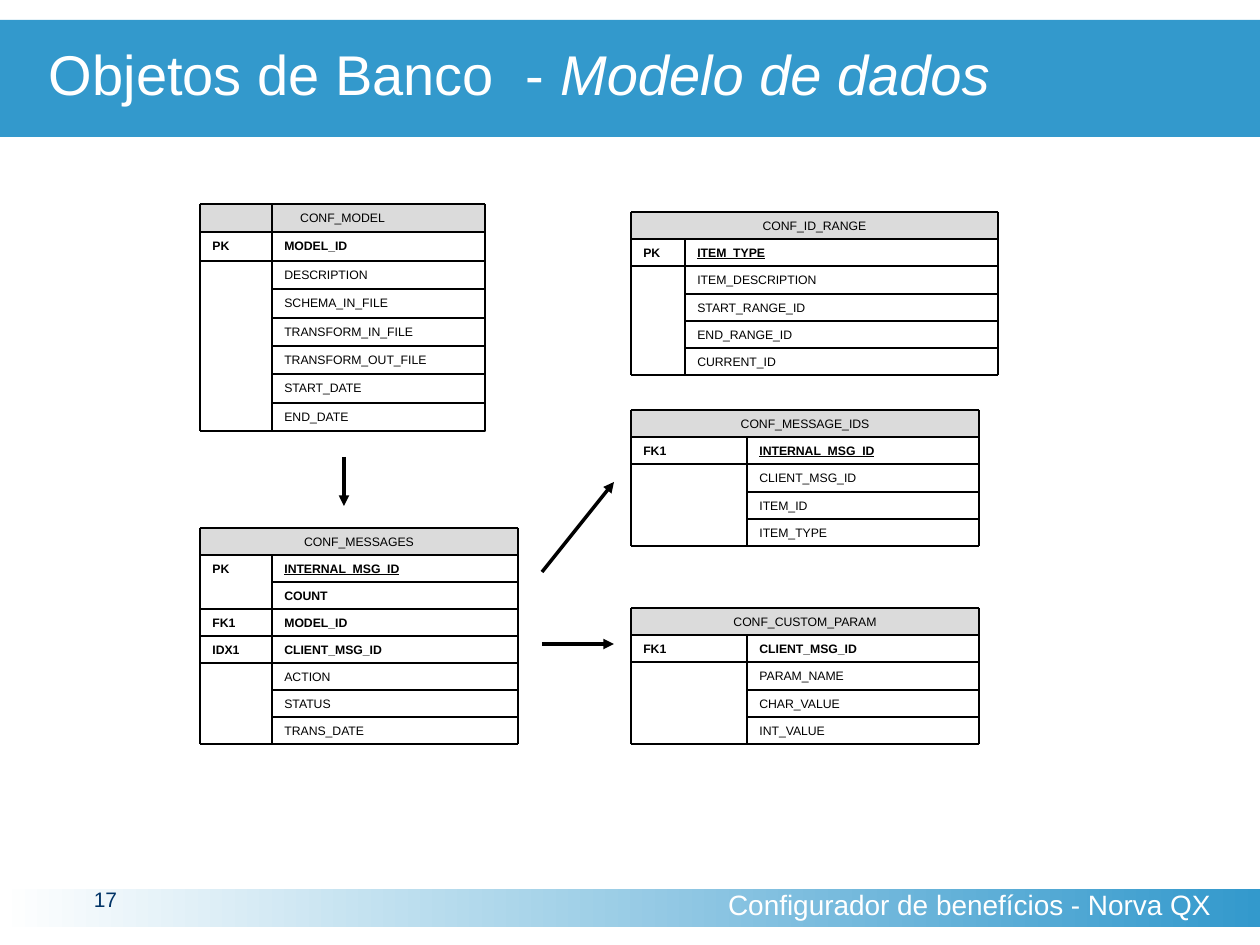
from dataclasses import dataclass

from lxml.etree import SubElement
from pptx import Presentation
from pptx.dml.color import RGBColor
from pptx.enum.shapes import MSO_CONNECTOR as Connector, MSO_SHAPE as Shape
from pptx.enum.text import MSO_ANCHOR as Anchor, PP_ALIGN as Align
from pptx.oxml.ns import qn
from pptx.util import Emu, Pt

PX_PER_INCH = 126
FONT = "Arial"
BLUE = RGBColor(0x33, 0x99, 0xCC)
NAVY = RGBColor(0x00, 0x33, 0x66)
GREY = RGBColor(0xDB, 0xDB, 0xDB)
BLACK = RGBColor(0, 0, 0)
WHITE = RGBColor(0xFF, 0xFF, 0xFF)


@dataclass(frozen=True)
class Field:
    name: str
    key: str = ""
    bold: bool = False
    underline: bool = False


@dataclass(frozen=True)
class Entity:
    name: str
    left: int
    top: int
    width: int
    height: int
    key_width: int
    fields: tuple[Field, ...]
    boxed: bool = False  # plain fields are outlined boxes, divider crosses the header


@dataclass(frozen=True)
class Arrow:
    x1: int
    y1: int
    x2: int
    y2: int


def key_field(key: str, name: str, underline: bool = False) -> Field:
    return Field(name, key, True, underline)


def plain_fields(*names: str) -> tuple[Field, ...]:
    return tuple(Field(name) for name in names)


ENTITIES = (
    Entity("CONF_MODEL", 200, 204, 285, 227, 72, (
        key_field("PK", "MODEL_ID"),
        *plain_fields("DESCRIPTION", "SCHEMA_IN_FILE", "TRANSFORM_IN_FILE",
                      "TRANSFORM_OUT_FILE", "START_DATE", "END_DATE")), boxed=True),
    Entity("CONF_MESSAGES", 200, 528, 318, 216, 72, (
        key_field("PK", "INTERNAL_MSG_ID", underline=True),
        Field("COUNT", bold=True),
        key_field("FK1", "MODEL_ID"),
        key_field("IDX1", "CLIENT_MSG_ID"),
        *plain_fields("ACTION", "STATUS", "TRANS_DATE"))),
    Entity("CONF_ID_RANGE", 631, 212, 367, 163, 54, (
        key_field("PK", "ITEM_TYPE", underline=True),
        *plain_fields("ITEM_DESCRIPTION", "START_RANGE_ID", "END_RANGE_ID", "CURRENT_ID"))),
    Entity("CONF_MESSAGE_IDS", 631, 410, 348, 136, 116, (
        key_field("FK1", "INTERNAL_MSG_ID", underline=True),
        *plain_fields("CLIENT_MSG_ID", "ITEM_ID", "ITEM_TYPE"))),
    Entity("CONF_CUSTOM_PARAM", 631, 608, 348, 136, 116, (
        key_field("FK1", "CLIENT_MSG_ID"),
        *plain_fields("PARAM_NAME", "CHAR_VALUE", "INT_VALUE"))),
)
ARROWS = (Arrow(344, 457, 344, 506), Arrow(542, 572, 614, 482), Arrow(542, 644, 614, 644))


def px(n: int) -> Emu:
    return Emu(round(n * 914400 / PX_PER_INCH))


def add_rect(shapes, x: int, y: int, w: int, h: int, fill=None, line=None):
    sp = shapes.add_shape(Shape.RECTANGLE, px(x), px(y), px(w), px(h))
    sp.shadow.inherit = False
    if fill is None:
        sp.fill.background()
    else:
        sp.fill.solid()
        sp.fill.fore_color.rgb = fill
    if line is None:
        sp.line.fill.background()
    else:
        sp.line.color.rgb = line
        sp.line.width = Pt(0.75)
    return sp


def add_box(shapes, x: int, y: int, w: int, h: int):
    sp = shapes.add_textbox(px(x), px(y), px(w), px(h))
    sp.text_frame.word_wrap = True
    return sp


def set_text(sp, text: str, size: int, color: RGBColor, align=Align.LEFT, anchor=Anchor.TOP):
    tf = sp.text_frame
    tf.text = text
    tf.vertical_anchor = anchor
    p = tf.paragraphs[0]
    p.alignment = align
    style_run(p.runs[0], size, color)
    return p


def style_run(r, size: int, color: RGBColor) -> None:
    r.font.name = FONT
    r.font.size = Pt(size)
    r.font.color.rgb = color


def set_margins(sp, left: int = 0, right: int = 0) -> None:
    tf = sp.text_frame
    tf.margin_left, tf.margin_right = px(left), px(right)
    tf.margin_top = tf.margin_bottom = 0


def add_line(shapes, x1: int, y1: int, x2: int, y2: int, width: int = 1):
    line = shapes.add_connector(Connector.STRAIGHT, px(x1), px(y1), px(x2), px(y2))
    line.line.color.rgb = BLACK
    line.line.width = Pt(width)
    SubElement(line._element.spPr, qn("a:effectLst"))
    return line


def draw_arrow(shapes, arrow: Arrow) -> None:
    line = add_line(shapes, arrow.x1, arrow.y1, arrow.x2, arrow.y2, 2)
    SubElement(line.line._get_or_add_ln(), qn("a:tailEnd"), type="triangle")


def draw_entity(shapes, e: Entity) -> None:
    rows = len(e.fields) + 1
    ys = [e.top + round(e.height * i / rows) for i in range(rows + 1)]
    right, divider = e.left + e.width, e.left + e.key_width

    # Header
    header = add_rect(shapes, e.left, e.top, e.width, ys[1] - e.top, GREY)
    set_text(header, e.name, 7, BLACK, Align.CENTER)

    # Keys, fields and the rules between rows
    for i, field in enumerate(e.fields):
        y, bottom = ys[i + 1], ys[i + 2]
        cell = (divider, y, right - divider, bottom - y)
        outlined = e.boxed and not field.bold
        sp = add_rect(shapes, *cell, line=BLACK) if outlined else add_box(shapes, *cell)
        r = set_text(sp, field.name, 7, BLACK).runs[0]
        r.font.bold = field.bold
        r.font.underline = field.underline
        if field.key:
            sp = add_box(shapes, e.left, y, e.key_width, bottom - y)
            set_text(sp, field.key, 7, BLACK).runs[0].font.bold = True
        if i + 1 < len(e.fields) and not outlined:
            following = e.fields[i + 1]
            same_key = following.bold and not following.key
            start = e.left if field.bold and not same_key else divider
            add_line(shapes, start, bottom, right, bottom)

    # Frame, header rule and divider
    for y in (e.top, ys[1], ys[-1]):
        add_line(shapes, e.left, y, right, y)
    for x in (e.left, right):
        add_line(shapes, x, e.top, x, ys[-1])
    add_line(shapes, divider, e.top if e.boxed else ys[1], divider, ys[-1])


def draw_footer(shapes) -> None:
    band = add_rect(shapes, 0, 889, 1260, 38)
    band.fill.gradient()
    band.fill.gradient_angle = 0
    for stop, color, position in zip(band.fill.gradient_stops, (WHITE, BLUE), (0, 1)):
        stop.color.rgb = color
        stop.position = position

    sp = add_box(shapes, 669, 889, 591, 38)
    set_margins(sp, right=49)
    sp.text_frame.word_wrap = False
    p = set_text(sp, "Configurador de benefícios - Norva QX", 16, WHITE, Align.RIGHT, Anchor.MIDDLE)
    p.line_spacing = 0.8

    sp = add_box(shapes, 39, 889, 133, 39)
    set_margins(sp)
    set_text(sp, "17", 12, NAVY, Align.CENTER).line_spacing = Pt(13)


def draw_title(shapes) -> None:
    sp = add_rect(shapes, 0, 20, 1260, 117, BLUE)
    set_margins(sp, left=49)
    p = set_text(sp, "Objetos de Banco  - ", 32, WHITE, anchor=Anchor.MIDDLE)
    p.line_spacing = 0.85
    r = p.add_run()
    r.text = "Modelo de dados"
    style_run(r, 32, WHITE)
    r.font.italic = True


def main() -> None:
    prs = Presentation()
    prs.slide_width, prs.slide_height = px(1260), px(945)
    s = prs.slides.add_slide(prs.slide_layouts[6])
    draw_footer(s.shapes)
    draw_title(s.shapes)
    for entity in ENTITIES:
        draw_entity(s.shapes, entity)
    for arrow in ARROWS:
        draw_arrow(s.shapes, arrow)
    prs.save("out.pptx")


if __name__ == "__main__":
    main()
